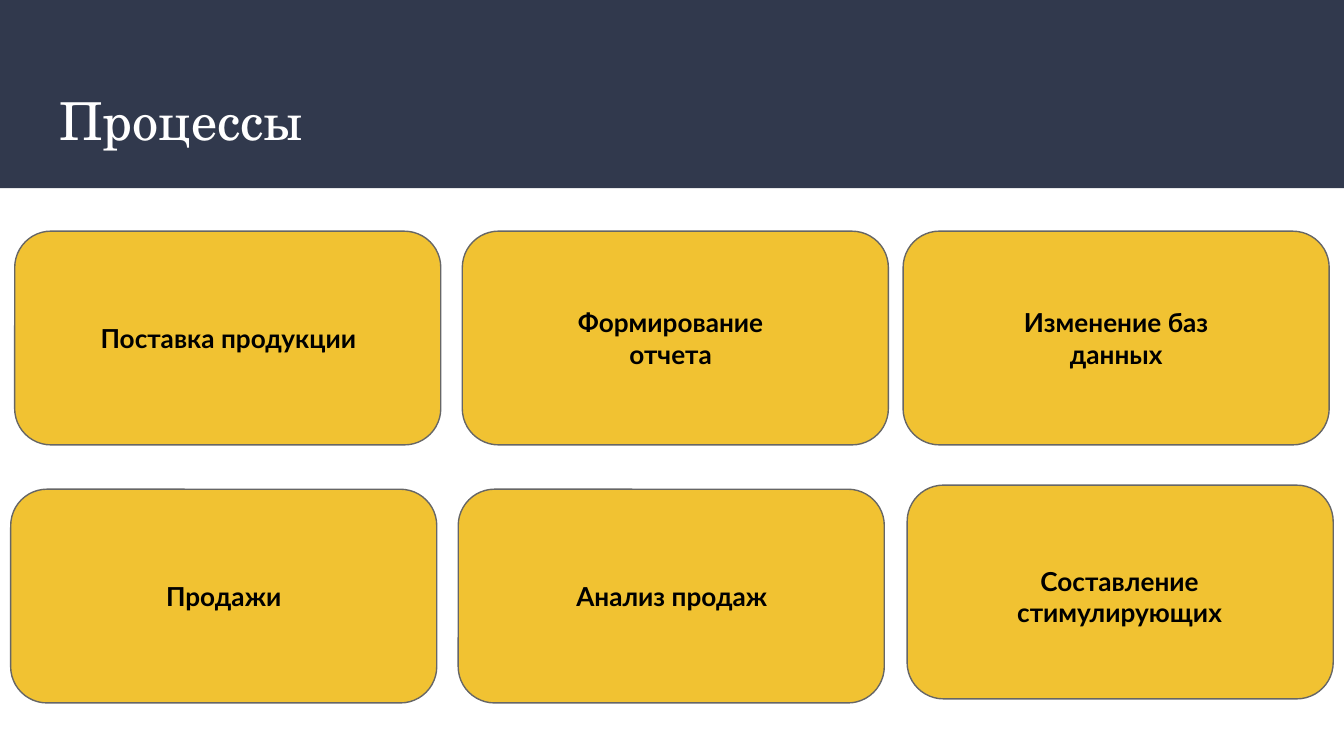
from dataclasses import dataclass

import pptx
import pptx.dml.color
import pptx.enum.shapes
import pptx.enum.text
import pptx.util

Pt = pptx.util.Pt
ALIGN = pptx.enum.text.PP_ALIGN
ANCHOR = pptx.enum.text.MSO_ANCHOR
FIT = pptx.enum.text.MSO_AUTO_SIZE
KIND = pptx.enum.shapes.MSO_SHAPE


@dataclass(frozen=True)
class Theme:
    navy: str = "31394D"
    gold: str = "F1C232"
    edge: str = "666666"
    white: str = "FFFFFF"
    black: str = "000000"
    serif: str = "TeX Gyre Schola"
    sans: str = "Lato"
    head: int = 28
    body: int = 14


THEME = Theme()
WIDE, HIGH = 720, 405
CARD_W, CARD_H = 228.24, 114.48
PAD = 7.2
LINE_H = 16.8

# Per row: centre height of the labels, then each card as
# card left, card top, label centre, label width, label lines, label
ROWS = (
    (181.1, (
        (7.92, 123.84, 122.4, 164.16, 1, "Поставка продукции"),
        (247.68, 123.84, 359.3, 129.6, 2, "Формирование отчета"),
        (483.84, 123.84, 598, 117.36, 2, "Изменение баз данных"),
    )),
    (319.5, (
        (5.76, 262.08, 119.9, 117.36, 1, "Продажи"),
        (245.52, 262.08, 360, 156.96, 1, "Анализ продаж"),
        (486, 259.92, 599.8, 156.96, 2, "Составление стимулирующих"),
    )),
)


def rgb(code):
    return pptx.dml.color.RGBColor.from_string(code)


def write(shape, text, *, font, size, color, bold=False,
          align=ALIGN.LEFT, anchor=ANCHOR.TOP, fit=FIT.NONE):
    frame = shape.text_frame
    frame.word_wrap = True
    frame.auto_size = fit
    frame.vertical_anchor = anchor
    frame.margin_left = frame.margin_right = Pt(PAD)
    frame.margin_top = frame.margin_bottom = Pt(PAD)
    para = frame.paragraphs[0]
    para.alignment = align
    run = para.add_run()
    run.text = text
    run.font.name = font
    run.font.size = Pt(size)
    run.font.bold = bold
    run.font.color.rgb = rgb(color)


def block(slide, kind, left, top, width, height, fill, edge=None):
    """Add a filled shape, outlined only when an edge colour is given."""
    shape = slide.shapes.add_shape(
        kind, Pt(left), Pt(top), Pt(width), Pt(height))
    shape.shadow.inherit = False
    shape.fill.solid()
    shape.fill.fore_color.rgb = rgb(fill)
    if edge:
        shape.line.color.rgb = rgb(edge)
        shape.line.width = Pt(0.75)
    else:
        shape.line.fill.background()
    return shape


def header(slide, text):
    band = block(slide, KIND.RECTANGLE, 0, 0, WIDE, 100.8, THEME.navy)
    title = slide.shapes.title
    title.element.addprevious(band.element)
    title.left, title.top = Pt(24.5), Pt(39.6)
    title.width, title.height = Pt(671), Pt(49)
    write(title, text, font=THEME.serif, size=THEME.head,
          color=THEME.white, anchor=ANCHOR.MIDDLE)


def card(slide, left, top):
    shape = block(slide, KIND.ROUNDED_RECTANGLE, left, top,
                  CARD_W, CARD_H, THEME.gold, THEME.edge)
    shape.adjustments[0] = 0.17


def label(slide, mid_x, mid_y, width, lines, text):
    height = 2 * PAD + lines * LINE_H
    box = slide.shapes.add_textbox(
        Pt(mid_x - width / 2), Pt(mid_y - height / 2), Pt(width), Pt(height))
    write(box, text, font=THEME.sans, size=THEME.body, color=THEME.black,
          bold=True, align=ALIGN.CENTER, fit=FIT.SHAPE_TO_FIT_TEXT)


def main():
    deck = pptx.Presentation()
    deck.slide_width, deck.slide_height = Pt(WIDE), Pt(HIGH)
    slide = deck.slides.add_slide(deck.slide_layouts.get_by_name("Title Only"))
    header(slide, "Процессы")
    for mid_y, cards in ROWS:
        for left, top, mid_x, width, lines, text in cards:
            card(slide, left, top)
            label(slide, mid_x, mid_y, width, lines, text)
    deck.save("out.pptx")


if __name__ == "__main__":
    main()
